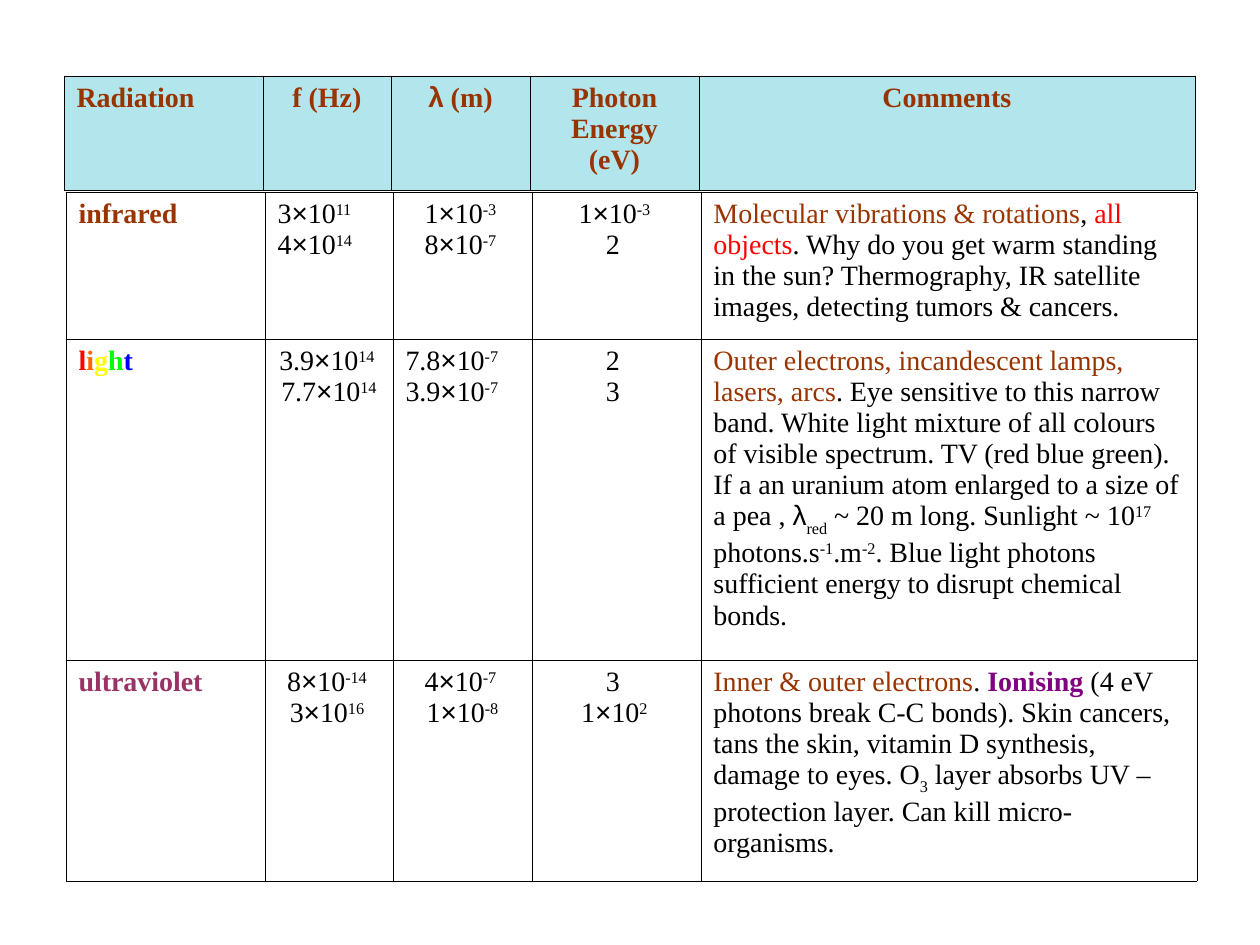
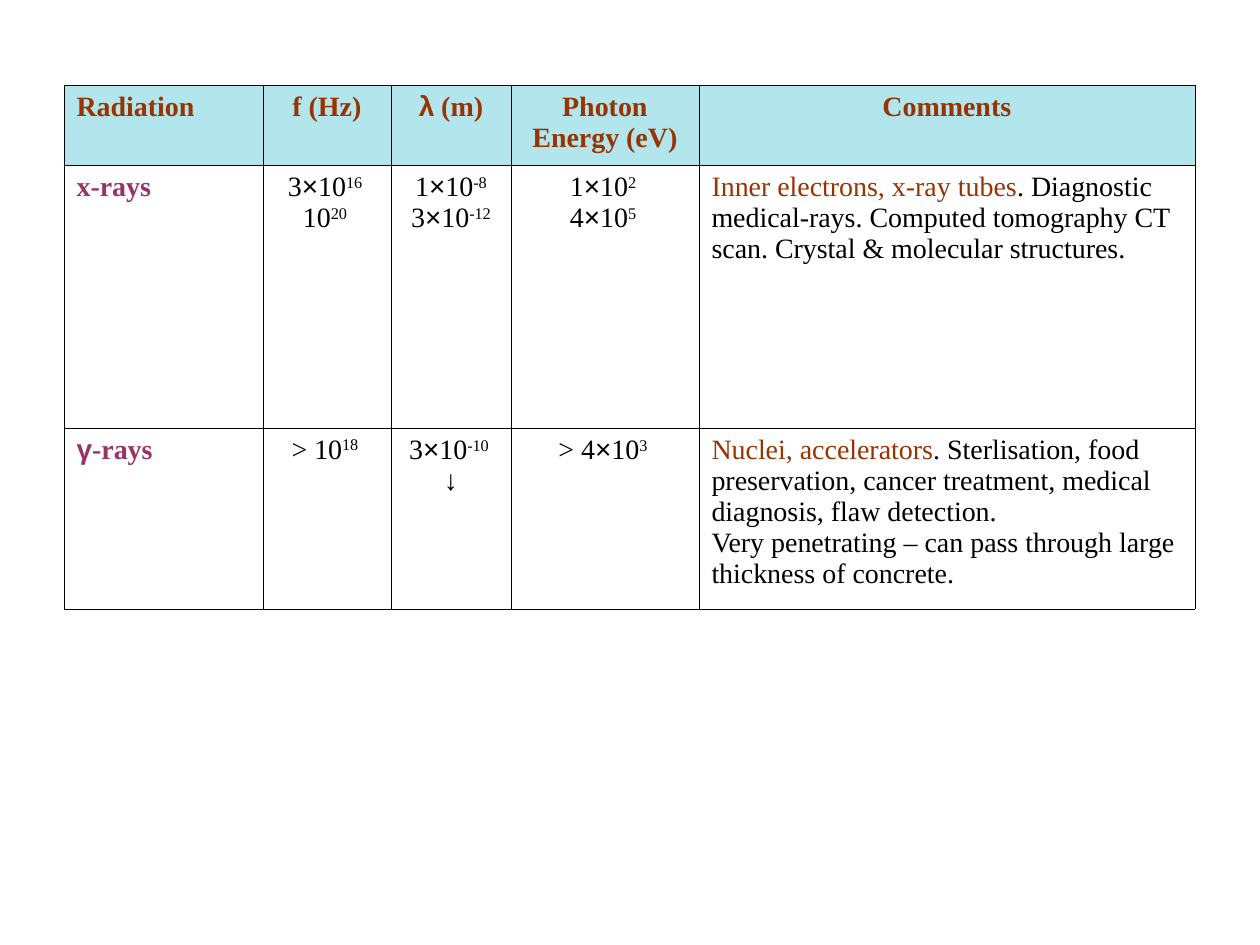
from dataclasses import dataclass
from itertools import groupby
from typing import NamedTuple

from lxml.etree import SubElement
from pptx import Presentation
from pptx.dml.color import RGBColor
from pptx.enum.text import PP_ALIGN
from pptx.oxml.ns import qn
from pptx.util import Emu, Pt

SCALE = 914400 / 126
BLACK = RGBColor(0x00, 0x00, 0x00)
BROWN = RGBColor(0x99, 0x33, 0x00)
PLUM = RGBColor(0x99, 0x33, 0x66)
PURPLE = RGBColor(0x80, 0x00, 0x80)
RED = RGBColor(0xFF, 0x00, 0x00)
ORANGE = RGBColor(0xFF, 0x66, 0x00)
YELLOW = RGBColor(0xFF, 0xFF, 0x00)
GREEN = RGBColor(0x00, 0xFF, 0x00)
BLUE = RGBColor(0x00, 0x00, 0xFF)
AQUA = RGBColor(0xB2, 0xE6, 0xEC)

SERIF = "Times New Roman"
SANS = "Arial"
SYMBOLS = "×λγ↓"
SHIFTS = {"^": 30000, "_": -30000}
EDGES = ("a:lnL", "a:lnR", "a:lnT", "a:lnB")
LINE = Pt(0.45)
SIZE = Pt(16)


class Bit(NamedTuple):
    """Text in one colour; a part between bars is raised by ^ or lowered by _."""
    text: str
    color: RGBColor = BLACK
    bold: bool = False


@dataclass
class Cell:
    lines: list[list[Bit]]
    align: PP_ALIGN = PP_ALIGN.LEFT


@dataclass
class Grid:
    left: int
    top: int
    cols: list[int]
    heights: list[int]
    rows: list[list[Cell]]
    fill: RGBColor | None = None


def px(count: int) -> Emu:
    return Emu(round(count * SCALE))


def nums(*lines: str, align: PP_ALIGN = PP_ALIGN.CENTER) -> Cell:
    return Cell([[Bit(line)] for line in lines], align)


def head(*lines: str, align: PP_ALIGN = PP_ALIGN.CENTER) -> Cell:
    return Cell([[Bit(line, BROWN, True)] for line in lines], align)


def name(text: str, color: RGBColor) -> Cell:
    return Cell([[Bit(text, color, True)]])


def note(*bits: Bit) -> Cell:
    return Cell([list(bits)])


def add_bit(para, bit: Bit) -> None:
    """Add runs, split where the baseline or the font changes."""
    for part in bit.text.split("|"):
        shift = SHIFTS.get(part[:1])
        plain = part[1:] if shift else part
        for symbol, chars in groupby(plain, lambda char: char in SYMBOLS):
            run = para.add_run()
            run.text = "".join(chars)
            font = run.font
            font.name = SANS if symbol else SERIF
            font.size, font.bold = SIZE, bit.bold
            font.color.rgb = bit.color
            if shift:
                run._r.get_or_add_rPr().set("baseline", str(shift))


def add_edges(box) -> None:
    props = box._tc.get_or_add_tcPr()
    for edge in EDGES:
        line = SubElement(props, qn(edge), w=str(LINE))
        solid = SubElement(line, qn("a:solidFill"))
        SubElement(solid, qn("a:srgbClr"), val=str(BLACK))


def fill_cell(box, cell: Cell, fill: RGBColor | None) -> None:
    add_edges(box)
    if fill is None:
        box.fill.background()
    else:
        box.fill.solid()
        box.fill.fore_color.rgb = fill
    frame = box.text_frame
    for index, line in enumerate(cell.lines):
        para = frame.add_paragraph() if index else frame.paragraphs[0]
        para.alignment = cell.align
        for bit in line:
            add_bit(para, bit)


def add_grid(slide, grid: Grid) -> None:
    shape = slide.shapes.add_table(
        len(grid.rows), len(grid.cols), px(grid.left), px(grid.top),
        px(sum(grid.cols)), px(sum(grid.heights)))
    table = shape.table
    table.first_row = table.horz_banding = False
    for col, width in zip(table.columns, grid.cols):
        col.width = px(width)
    for row, height, cells in zip(table.rows, grid.heights, grid.rows):
        row.height = px(height)
        for box, cell in zip(row.cells, cells):
            fill_cell(box, cell, grid.fill)


TITLES = [
    head("Radiation", align=PP_ALIGN.LEFT), head("f (Hz)"), head("λ (m)"),
    head("Photon", "Energy (eV)"), head("Comments"),
]

INFRARED = [
    name("infrared", BROWN),
    nums("3×10|^11", "4×10|^14", align=PP_ALIGN.LEFT),
    nums("1×10|^-3 ", "8×10|^-7 "),
    nums("1×10|^-3 ", "2 "),
    note(Bit("Molecular vibrations & rotations", BROWN), Bit(", "),
         Bit("all objects", RED),
         Bit(". Why do you get warm standing in the sun? Thermography, "
             "IR satellite images, detecting tumors & cancers.")),
]
LIGHT = [
    note(*(Bit(char, color, True) for char, color
           in zip("light", (RED, ORANGE, YELLOW, GREEN, BLUE)))),
    nums("3.9×10|^14 ", "7.7×10|^14"),
    nums("7.8×10|^-7", "3.9×10|^-7", align=PP_ALIGN.LEFT),
    nums("2 ", "3 "),
    note(Bit("Outer electrons, incandescent lamps, lasers, arcs", BROWN),
         Bit(". Eye sensitive to this narrow band. White light mixture of all "
             "colours of visible spectrum. TV (red blue green). If a an "
             "uranium atom enlarged to a size of a pea , λ|_red| ~ 20 m long. "
             "Sunlight ~ 10|^17| photons.s|^-1|.m|^-2|. Blue light photons "
             "sufficient energy to disrupt chemical bonds.")),
]
ULTRA = [
    name("ultraviolet", PLUM),
    nums("8×10|^-14 ", "3×10|^16 "),
    nums("4×10|^-7 ", "1×10|^-8"),
    nums("3 ", "1×10|^2 "),
    note(Bit("Inner & outer electrons", BROWN), Bit(". "),
         Bit("Ionising", PURPLE, True),
         Bit(" (4 eV photons break C-C bonds). Skin cancers, tans the skin, "
             "vitamin D synthesis, damage to eyes. O|_3| layer absorbs UV – "
             "protection layer. Can kill micro-organisms.")),
]
XRAYS = [
    name("x-rays", PLUM),
    nums("3×10|^16 ", "10|^20 "),
    nums("1×10|^-8", "3×10|^-12"),
    nums("1×10|^2 ", "4×10|^5 "),
    note(Bit("Inner electrons, x-ray tubes", BROWN),
         Bit(". Diagnostic medical-rays. Computed tomography CT scan. "
             "Crystal & molecular structures.")),
]
GAMMA = [
    name("γ-rays", PLUM),
    nums("> 10|^18 "),
    nums("3×10|^-10 ", "↓"),
    nums("> 4×10|^3 "),
    Cell([[Bit("Nuclei, accelerators", BROWN),
           Bit(". Sterlisation, food preservation, cancer treatment, "
               "medical diagnosis, flaw detection.")],
          [Bit("Very penetrating – can pass through large thickness "
               "of concrete.")]]),
]

WIDE = [199, 128, 139, 169, 496]
SLIM = [199, 128, 120, 188, 496]
PAGES = [
    [Grid(64, 76, WIDE, [114], [TITLES], AQUA),
     Grid(66, 192, WIDE, [147, 321, 221], [INFRARED, LIGHT, ULTRA])],
    [Grid(64, 85, SLIM, [80], [TITLES], AQUA),
     Grid(64, 165, SLIM, [263, 181], [XRAYS, GAMMA])],
]


def main() -> None:
    deck = Presentation()
    deck.slide_width, deck.slide_height = px(1260), px(945)
    for grids in PAGES:
        slide = deck.slides.add_slide(deck.slide_layouts[6])
        for grid in grids:
            add_grid(slide, grid)
    deck.save("out.pptx")


if __name__ == "__main__":
    main()
